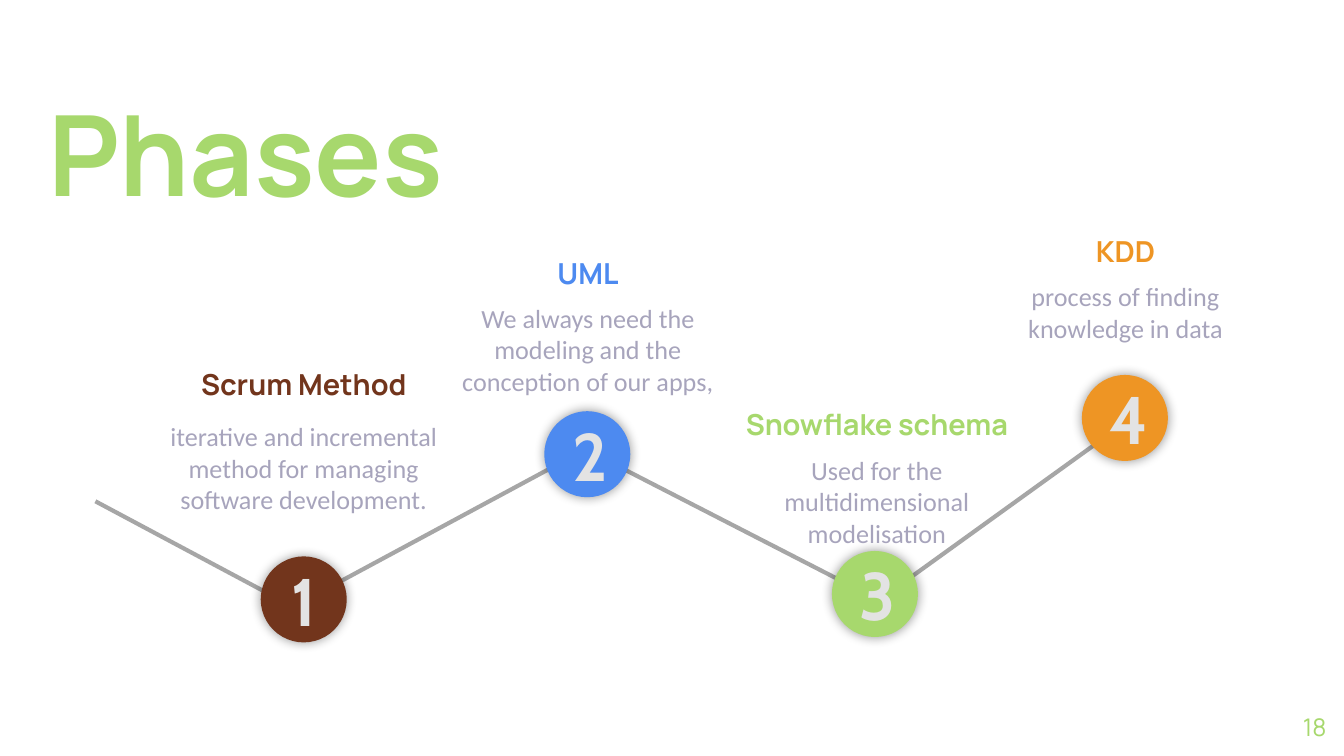
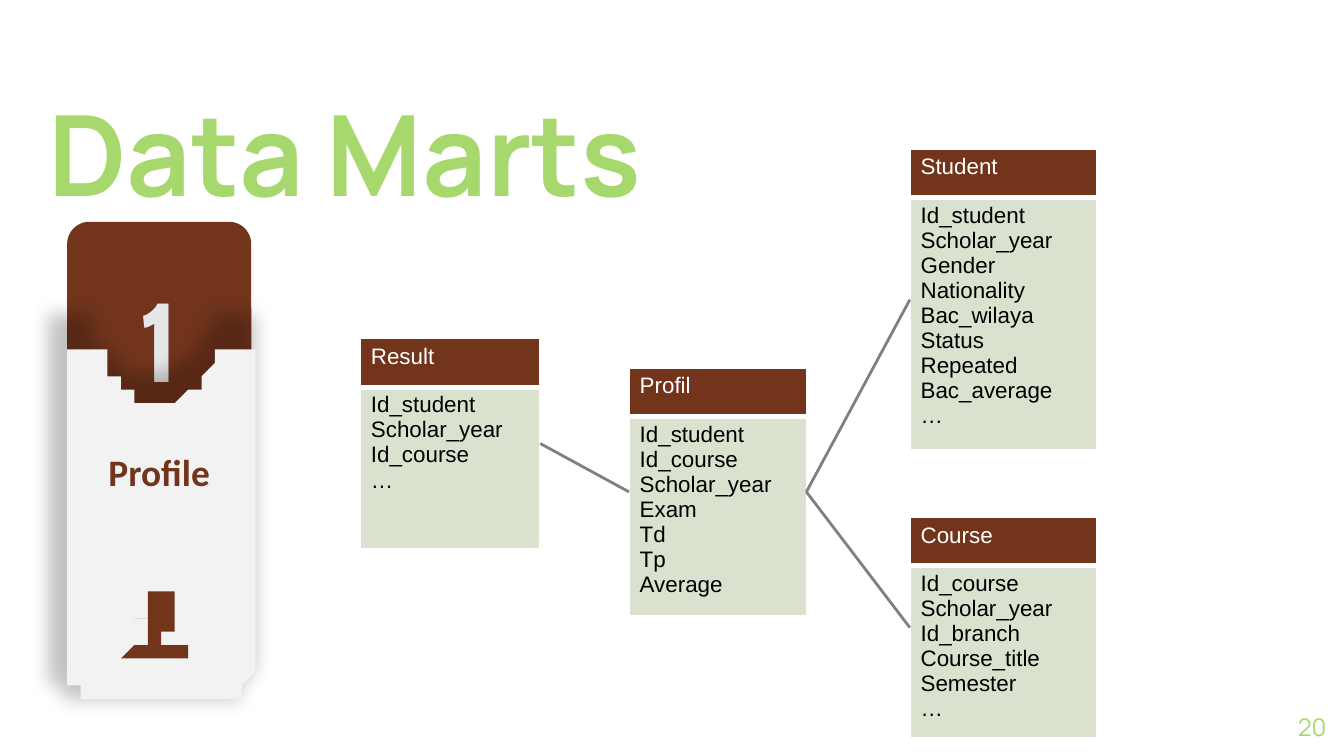
import dataclasses
import math

import pptx
import pptx.dml.color
import pptx.enum.shapes
import pptx.enum.text
import pptx.oxml
import pptx.oxml.ns
import pptx.util

COLORS = {
    "green": "A7D86D", "brown": "72351C", "blue": "4D8AF0", "orange": "EE9524",
    "lilac": "A7A4BC", "digit": "E3E3E3", "card digit": "E6E7E9", "card": "F2F2F2",
    "path": "A6A6A6", "relation": "808080", "cell": "DAE2CF",
    "white": "FFFFFF", "black": "000000",
}
# The grid: 100 columns across, with rows as tall as the columns are wide.
SLIDE_COLUMNS, SLIDE_ROWS = 100, 56.25
UNIT = pptx.util.Inches(0.1)

TITLE = {"size": 60, "name": "Manrope", "bold": True, "color": "green"}
NUMBER = {"size": 13, "name": "Manrope", "color": "green"}
DIGIT = {"size": 36, "name": "Cabin", "bold": True, "color": "digit"}
CARD_DIGIT = {"size": 60, "name": "Cabin", "bold": True, "color": "card digit"}
CARD_NAME = {"size": 20, "name": "Calibri", "bold": True, "color": "brown"}
HEADING = {"size": 15.5, "name": "Manrope", "bold": True}
BODY = {"size": 14, "name": "Calibri", "color": "lilac"}
FIELD = {"size": 12, "name": "Arial"}

ALIGN = pptx.enum.text.PP_ALIGN
ANCHOR = pptx.enum.text.MSO_ANCHOR
SHAPES = pptx.enum.shapes.MSO_SHAPE
TOP, LEFT, BOTTOM, RIGHT = range(4)


@dataclasses.dataclass
class Box:
    left: float
    top: float
    width: float
    height: float

    def emu(self):
        return [round(value * UNIT) for value in dataclasses.astuple(self)]

    def inner(self, left, top, width, height):
        """A box placed from this box's top left corner, in grid units."""
        return Box(self.left + left, self.top + top, width, height)


def rgb(color):
    return pptx.dml.color.RGBColor.from_string(COLORS[color])


def xml(text):
    namespace = pptx.oxml.ns.nsdecls("a")
    return pptx.oxml.parse_xml(text.replace(">", f" {namespace}>", 1))


def shadow_xml(alpha, blur, distance=0, extra=""):
    return xml(
        f'<a:effectLst><a:outerShdw blurRad="{pptx.util.Pt(blur)}" dist="{pptx.util.Pt(distance)}" '
        f'dir="2700000" {extra} rotWithShape="0"><a:srgbClr val="{COLORS["black"]}">'
        f'<a:alpha val="{alpha * 1000}"/></a:srgbClr></a:outerShdw></a:effectLst>')


def style(font, form):
    for name, value in form.items():
        if name == "color":
            font.color.rgb = rgb(value)
        else:
            setattr(font, name, pptx.util.Pt(value) if name == "size" else value)


def write(frame, lines, form, align=ALIGN.LEFT):
    for index, line in enumerate(lines):
        para = frame.paragraphs[0] if index == 0 else frame.add_paragraph()
        para.alignment = align
        span = para.add_run()
        span.text = line
        style(span.font, form)


def add_text(page, box, text, form, align=ALIGN.CENTER):
    label = page.shapes.add_textbox(*box.emu())
    label.text_frame.word_wrap = True
    label.text_frame.auto_size = pptx.enum.text.MSO_AUTO_SIZE.SHAPE_TO_FIT_TEXT
    write(label.text_frame, [text], form, align)
    return label


def add_digit(page, box, text, form):
    label = add_text(page, box, text, form)
    font = label.text_frame.paragraphs[0].runs[0].font
    fill = font._element.find(pptx.oxml.ns.qn("a:solidFill"))
    fill.addnext(shadow_xml(40, 4, 3))


def paint(shape, color):
    shape.shadow.inherit = False
    shape.fill.solid()
    shape.fill.fore_color.rgb = rgb(color)
    shape.line.fill.background()
    return shape


def cast_shadow(shape, *values):
    properties = shape._element.spPr
    properties.remove(properties.find(pptx.oxml.ns.qn("a:effectLst")))
    properties.append(shadow_xml(*values))


def add_outline(page, points, color):
    """Draw a closed outline through points given in grid units."""
    start, *rest = points
    builder = page.shapes.build_freeform(*start, scale=UNIT)
    builder.add_line_segments(rest, close=True)
    return paint(builder.convert_to_shape(), color)


def add_line(page, start, end, color, width):
    ends = [round(value * UNIT) for value in (*start, *end)]
    line = page.shapes.add_connector(pptx.enum.shapes.MSO_CONNECTOR.STRAIGHT, *ends)
    line.line.color.rgb = rgb(color)
    line.line.width = pptx.util.Pt(width)
    line._element.spPr.append(xml("<a:effectLst></a:effectLst>"))
    return line


def add_page(deck, title, title_width, number):
    page = deck.slides.add_slide(deck.slide_layouts[5])
    heading = page.shapes.title
    place = Box(2.6, 5.8, title_width, 11.1).emu()
    for name, value in zip(("left", "top", "width", "height"), place):
        setattr(heading, name, value)
    frame = heading.text_frame
    frame.vertical_anchor = ANCHOR.TOP
    frame.auto_size = pptx.enum.text.MSO_AUTO_SIZE.NONE
    write(frame, [title], TITLE)

    label = add_text(page, Box(92.7, 51.9, 6, 4.3), number, NUMBER, ALIGN.RIGHT)
    frame = label.text_frame
    frame.auto_size = pptx.enum.text.MSO_AUTO_SIZE.NONE
    frame.vertical_anchor = ANCHOR.MIDDLE
    for side in ("left", "top", "right", "bottom"):
        setattr(frame, f"margin_{side}", 0)
    return page


def add_milestone(page, box, digit, color):
    circle = paint(page.shapes.add_shape(SHAPES.OVAL, *box.emu()), color)
    cast_shadow(circle, 40, 6)
    add_digit(page, box.inner(1.1, -0.3, 4.2, 7.1), digit, DIGIT)


def add_caption(page, box, gap, heading, body, color):
    add_text(page, box.inner(0, 0, box.width, 3.6), heading, {**HEADING, "color": color})
    add_text(page, box.inner(0, gap, box.width, box.height - gap), body, BODY)


def phases_page(deck):
    page = add_page(deck, "Phases", 34.8, "18")
    path = [((21.9, 45.2), (7.1, 37.3)), ((65.9, 44.3), (83.1, 31.9)),
            ((64.7, 44.3), (46, 34.7)), ((23.4, 44.3), (42.9, 33.8))]
    for start, end in path:
        add_line(page, start, end, "path", 2.25)

    phases = [
        ("brown", (19.4, 41.4), Box(10.5, 26.8, 24.2, 14.4), 4, "Scrum Method",
         "iterative and incremental method for managing software development."),
        ("blue", (40.5, 30.6), Box(32.1, 18.5, 23.3, 11.6), 3.5, "UML",
         "We always need the modeling and the conception of our apps,"),
        ("green", (61.9, 41), Box(53.6, 29.8, 23.3, 11.6), 3.5, "Snowflake schema",
         "Used for the multidimensional modelisation"),
        ("orange", (80.5, 27.9), Box(72.1, 16.9, 23.3, 9.2), 3.5, "KDD",
         "process of finding knowledge in data"),
    ]
    for digit, (color, corner, caption, gap, heading, body) in enumerate(phases, 1):
        add_milestone(page, Box(*corner, 6.4, 6.4), str(digit), color)
        add_caption(page, caption, gap, heading, body, color)


def arc(center, radius, start, end, steps=16):
    """Points on a circle from one angle to another, in degrees, clockwise from the right."""
    angles = [math.radians(start + (end - start) * step / steps) for step in range(steps + 1)]
    return [(center[0] + radius * math.cos(a), center[1] + radius * math.sin(a)) for a in angles]


def add_person(page, box):
    """A head and shoulders, given as the right half and mirrored."""
    half = [(0, 0), (0.3, 0.1), (0.8, 0.3), (1.1, 0.6), (1.25, 0.9), (1.3, 1.45), (1.4, 1.6),
            (1.4, 1.9), (1.3, 2.2), (1.1, 2.3), (0.9, 2.7), (0.5, 3.1), (0.5, 3.5),
            (1, 3.55), (1.6, 3.75), (2.1, 4.1), (2.4, 4.6), (2.45, 4.9), (2.1, 5),
            (1.3, 5.1), (0, 5.15)]
    middle = box.left + box.width / 2
    right = [(middle + x, box.top + y) for x, y in half]
    left = [(middle - x, box.top + y) for x, y in half[-2:0:-1]]
    add_outline(page, right + left, "brown")


def add_profile_card(page, box):
    cap = page.shapes.add_shape(SHAPES.ROUND_2_SAME_RECTANGLE,
                                *box.inner(0, 0, box.width, 16.1).emu())
    paint(cap, "brown").adjustments[0] = 0.121
    add_digit(page, box.inner(3, 3.1, 7.7, 8.8), "1", CARD_DIGIT)

    right, bottom = box.left + box.width, box.top + box.height
    edge, middle, corner = box.top + 9.7, box.left + box.width / 2, 2.7
    notch = arc((middle, edge), 3.8, 180, 0)
    body = [(box.left, edge), *notch, (right, edge),
            *arc((right - corner, bottom - corner), corner, 0, 90),
            *arc((box.left + corner, bottom - corner), corner, 90, 180)]
    cast_shadow(add_outline(page, body, "card"), 23, 10, 0,
                'sx="110000" sy="110000" algn="br"')
    add_text(page, box.inner(0, 16.4, box.width, 4.4), "Profile", CARD_NAME)
    add_person(page, box.inner(4.4, 27.7, 4.9, 5.15))


def format_cell(cell, lines, fill, color, bottom_width):
    cell.fill.solid()
    cell.fill.fore_color.rgb = rgb(fill)
    for side, margin in zip(("left", "top", "right", "bottom"), (0.08, 0.04, 0.08, 0.04)):
        setattr(cell, f"margin_{side}", pptx.util.Inches(margin))
    write(cell.text_frame, lines, {**FIELD, "color": color})
    properties = cell._tc.get_or_add_tcPr()
    for index, (side, width) in enumerate(zip("LRTB", (1, 1, 1, bottom_width))):
        properties.insert(index, xml(
            f'<a:ln{side} w="{pptx.util.Pt(width)}"><a:solidFill>'
            f'<a:srgbClr val="{COLORS["white"]}"/></a:solidFill></a:ln{side}>'))


def add_entity(page, box, name, fields):
    holder = page.shapes.add_table(2, 1, *box.emu())
    table = holder.table
    table.first_row = table.horz_banding = False
    header = 3.6
    for row, height in zip(table.rows, (header, box.height - header)):
        row.height = round(height * UNIT)
    format_cell(table.cell(0, 0), [name], "brown", "white", 3)
    format_cell(table.cell(1, 0), fields, "cell", "black", 1)
    return holder


def data_marts_page(deck):
    page = add_page(deck, "Data Marts", 49.6, "20")
    add_profile_card(page, Box(5, 16.5, 13.7, 35.8))
    entities = {
        "Profil": (Box(46.8, 27.4, 13.2, 18.4),
                   ["Id_student", "Id_course", "Scholar_year", "Exam", "Td", "Tp", "Average"]),
        "Student": (Box(67.7, 11.1, 13.9, 22.4),
                    ["Id_student", "Scholar_year", "Gender", "Nationality", "Bac_wilaya",
                     "Status", "Repeated", "Bac_average", "…"]),
        "Result": (Box(26.8, 25.2, 13.4, 15.6),
                   ["Id_student", "Scholar_year", "Id_course", "…"]),
        "Course": (Box(67.7, 38.5, 13.9, 16.4),
                   ["Id_course", "Scholar_year", "Id_branch", "Course_title", "Semester", "…"]),
    }
    tables = {name: add_entity(page, box, name, fields)
              for name, (box, fields) in entities.items()}
    for start, end in (("Student", "Profil"), ("Profil", "Result"), ("Course", "Profil")):
        relation = add_line(page, (0, 0), (1, 1), "relation", 1.5)
        relation.begin_connect(tables[start], LEFT)
        relation.end_connect(tables[end], RIGHT)


def main():
    deck = pptx.Presentation()
    deck.slide_width = round(SLIDE_COLUMNS * UNIT)
    deck.slide_height = round(SLIDE_ROWS * UNIT)
    phases_page(deck)
    data_marts_page(deck)
    deck.save("out.pptx")


if __name__ == "__main__":
    main()
